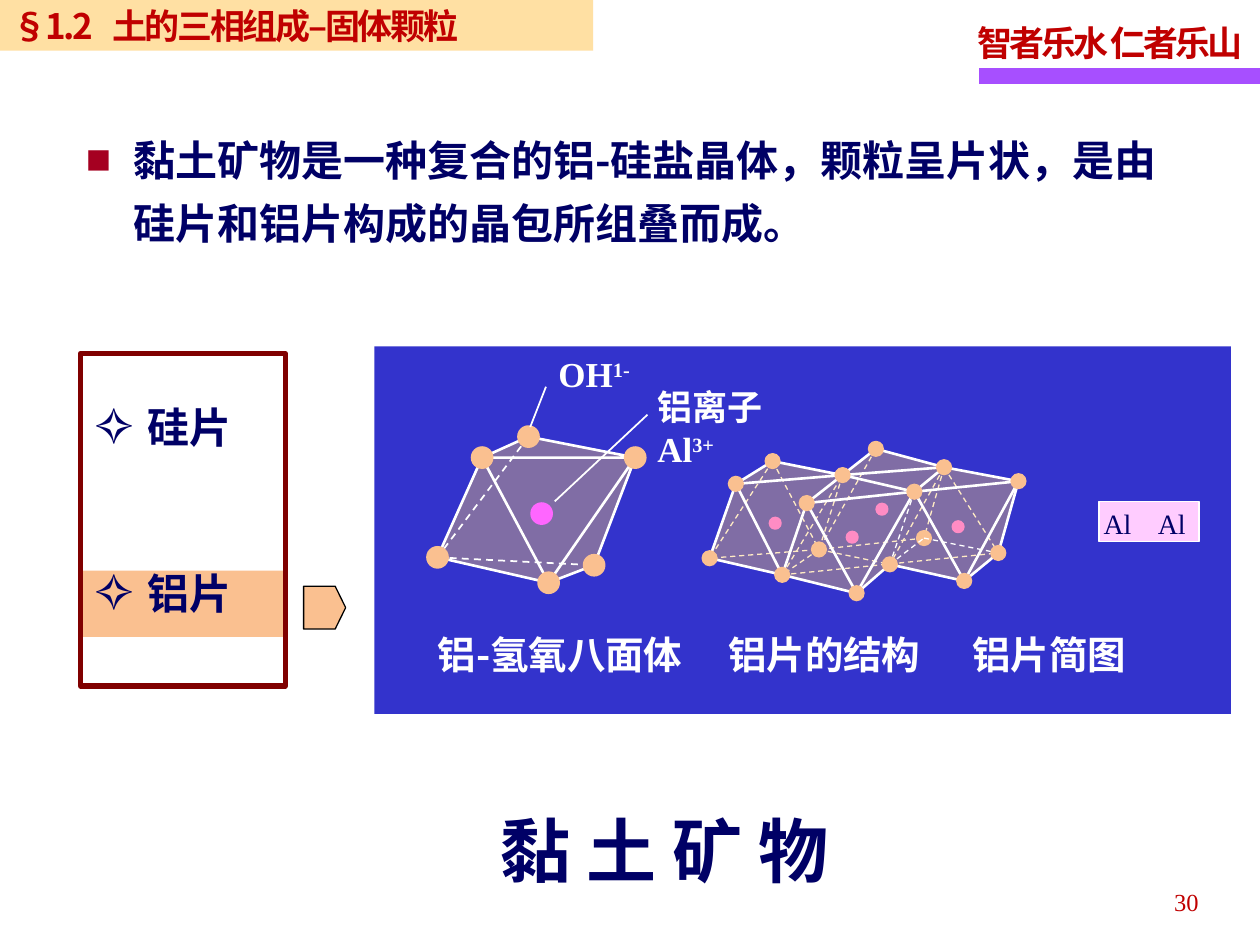
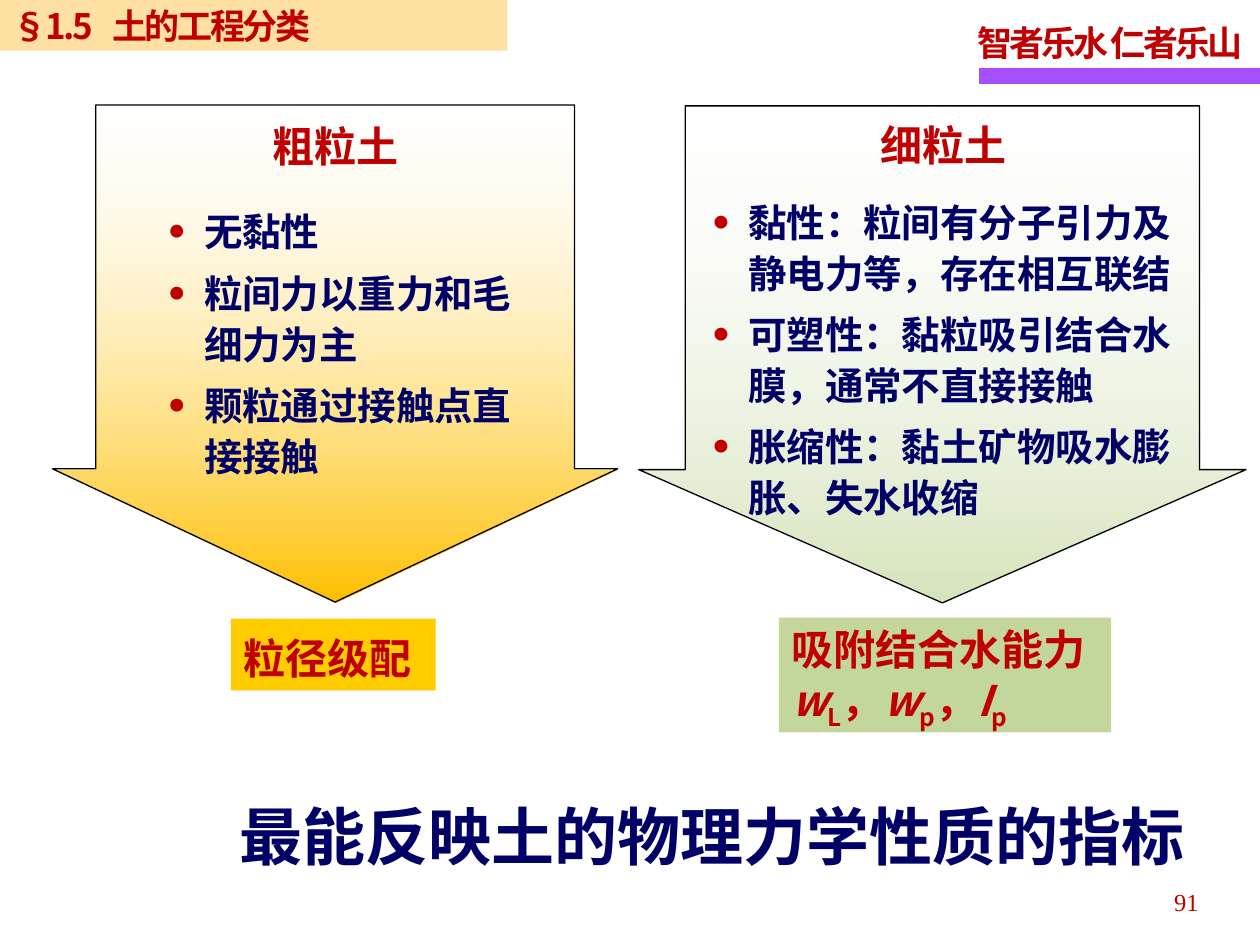
from pptx import Presentation
from pptx.dml.color import RGBColor as Rgb
from pptx.enum.dml import MSO_LINE as Dash
from pptx.enum.shapes import MSO_CONNECTOR as Link, MSO_SHAPE as Kind
from pptx.enum.text import MSO_ANCHOR as Anchor, MSO_AUTO_SIZE as Auto, PP_ALIGN as Align
from pptx.oxml.ns import qn
from pptx.util import Pt
from lxml.etree import SubElement as Sub

HUE = {
    "white": "FFFFFF", "black": "000000", "navy": "000066", "red": "C00000",
    "violet": "A74FFF", "sand": "FFCC66", "peach": "FAC090", "blue": "3333CC",
    "pink": "FF66FF", "rose": "FFCCFF", "maroon": "800000", "crimson": "A50021",
    "gold": "FFC000", "yellow": "FFCC00", "mint": "D7E4BD", "green": "C3D69B",
}
SANS, SERIF = "Noto Sans CJK SC", "Times New Roman"

MOTTO = "智者乐水 仁者乐山"
CLAY = {
    "head": "§1.2\t土的三相组成–固体颗粒", "band": 339, "page": "30",
    "close": "黏 土 矿 物",
    "lead": "黏土矿物是一种复合的铝-硅盐晶体，颗粒呈片状，是由硅片和铝片构成的晶包所组叠而成。",
    "sheets": ["硅片", "铝片"],
    "labels": [("铝-氢氧八面体", 243, 164), ("铝片的结构", 409, 130), ("铝片简图", 548.5, 110)],
}
SOIL = {
    "head": "§1.5\t土的工程分类", "band": 290, "page": "91",
    "close": "最能反映土的物理力学性质的指标",
    "kinds": [
        {"name": "粗粒土", "arrow": (30, 60, 323, 284), "tint": "gold",
         "top": (148, 61, 87, 38), "list": (88.5, 113, 212.5, 166),
         "points": ["无黏性", "粒间力以重力和毛细力为主", "颗粒通过接触点直接接触"],
         "tag": (132, 353.5, 117, 41), "fill": "yellow", "gap": 1.15,
         "index": ["粒径级配"]},
        {"name": "细粒土", "arrow": (365, 60.5, 347, 284), "tint": "mint",
         "top": (484.5, 60.5, 109, 41), "list": (399.5, 107.5, 290, 191),
         "points": ["黏性：粒间有分子引力及静电力等，存在相互联结",
                    "可塑性：黏粒吸引结合水膜，通常不直接接触",
                    "胀缩性：黏土矿物吸水膨胀、失水收缩"],
         "tag": (445, 353, 190, 65.5), "fill": "green", "gap": 1,
         "index": ["吸附结合水能力",
                   [("w", 0, True), ("L", -25, False), ("，", 0, False),
                    ("w", 0, True), ("p", -25, False), ("，", 0, False),
                    ("I", 0, True), ("p", -25, False)]]},
    ],
}

ATOMS = {
    "A": (302, 249.5), "B": (275.5, 261.5), "C": (363, 261.5),
    "D": (250, 318.5), "E": (313.5, 333), "F": (339.5, 323),
    "a": (405.5, 319), "b": (420.5, 276.5), "c": (441.5, 263.5),
    "d": (447, 328.5), "e": (461, 287.5), "f": (481.5, 271.5),
    "g": (489.5, 339), "h": (500.5, 256.5), "i": (508.5, 322.5),
    "j": (522.5, 281), "k": (539.5, 267), "l": (551, 332),
    "m": (570.5, 316), "n": (582, 275), "o": (468, 314), "p": (528, 307.5),
}
SHEET = {
    "ions": [(443, 299), (504, 291), (487, 307), (547.5, 301)],
    "under": "od km poa ca dm co df ho fo oi ki kp",
    "face": "adgilmnkhfcba",
    "solid": "adba fj nml edge hk kf il he jk njln ig bfcb ejg kn".replace("edge", "edge"),
    "over": "ji pm ip",
}
UNIT = {"face": "ABDEFCA", "solid": "BDEB BACB CEFC", "dash": "AD DF", "ion": (309.5, 293.5)}


def color(name):
    return Rgb.from_string(HUE[name])


def fade(shape, share):
    tone = next(shape._element.spPr.iter(qn("a:srgbClr")))
    Sub(tone, qn("a:alpha")).set("val", str(share * 1000))


def style(shape, fill=None, line=None, width=0.75):
    shape.shadow.inherit = False
    if fill:
        shape.fill.solid()
        shape.fill.fore_color.rgb = color(fill)
    else:
        shape.fill.background()
    if line:
        shape.line.color.rgb = color(line)
        shape.line.width = Pt(width)
    else:
        shape.line.fill.background()
    return shape


def draw(slide, box, kind=Kind.RECTANGLE, **look):
    return style(slide.shapes.add_shape(kind, *map(Pt, box)), **look)


def area(slide, box):
    return slide.shapes.add_textbox(*map(Pt, box))


def text(shape, words, size=24, hue="navy", face=SANS, bold=True, align=Align.LEFT,
         anchor=Anchor.TOP, wrap=True, gap=1, before=0, mark=None, tint="red",
         scale=100, indent=0, tab=0, track=0):
    frame = shape.text_frame
    frame.word_wrap, frame.auto_size = wrap, Auto.NONE
    frame.vertical_anchor = anchor
    for n, part in enumerate([words] if isinstance(words, str) else words):
        para = frame.add_paragraph() if n else frame.paragraphs[0]
        para.alignment, para.line_spacing = align, gap
        para.space_before = Pt(before if n else 0)
        props = para._p.get_or_add_pPr()
        if mark:
            props.set("marL", str(Pt(indent)))
            props.set("indent", str(-Pt(indent)))
            Sub(Sub(props, qn("a:buClr")), qn("a:srgbClr")).set("val", HUE[tint])
            Sub(props, qn("a:buSzPct")).set("val", str(scale * 1000))
            Sub(props, qn("a:buFont")).set("typeface", SERIF)
            Sub(props, qn("a:buChar")).set("char", mark)
        if tab:
            stop = Sub(Sub(props, qn("a:tabLst")), qn("a:tab"))
            stop.set("pos", str(Pt(tab)))
            stop.set("algn", "l")
        for bit, base, slant in [(part, 0, False)] if isinstance(part, str) else part:
            run = para.add_run()
            run.text = bit
            font = run.font
            font.size, font.bold, font.italic = Pt(size), bold, slant
            font.color.rgb, font.name = color(hue), face
            attrs = run._r.get_or_add_rPr()
            Sub(attrs, qn("a:ea")).set("typeface", SANS)
            if base:
                attrs.set("baseline", str(base * 1000))
            if track:
                attrs.set("spc", str(round(track * 100)))


def start(deck, page, close, size):
    slide = deck.slides.add_slide(deck.slide_layouts[5])
    head = slide.shapes.title
    head.left, head.top, head.width, head.height = map(Pt, (0, 0, page["band"], 29))
    head.fill.solid()
    head.fill.fore_color.rgb = color("sand")
    fade(head, 60)
    text(head, page["head"], size=20, hue="red", anchor=Anchor.MIDDLE, tab=57, track=-1.4)
    draw(slide, (559.5, 39, 160.5, 9), fill="violet")
    text(area(slide, (551.5, 5, 168, 35)), MOTTO, size=20, hue="red", face=SERIF,
         wrap=False, gap=1.15, track=-1.7)
    text(area(slide, (524, 501, 168, 29)), page["page"], size=14, hue="red", face=SERIF,
         bold=False, align=Align.RIGHT, gap=1.15)
    text(area(slide, close), page["close"], size=size)
    return slide


def line(slide, ends, width, dash=False):
    spots = [Pt(v) for spot in ends for v in spot]
    link = slide.shapes.add_connector(Link.STRAIGHT, *spots)
    link.line.color.rgb, link.line.width = color("white"), Pt(width)
    Sub(link._element.spPr, qn("a:effectLst"))
    if dash:
        link.line.dash_style = Dash.DASH


def outline(slide, names, **look):
    first, *rest = [tuple(map(Pt, ATOMS[name])) for name in names]
    closed = names[0] == names[-1]
    pen = slide.shapes.build_freeform(*first)
    pen.add_line_segments(rest[:-1] if closed else rest, close=closed)
    return style(pen.convert_to_shape(), **look)


def edges(slide, names, width, dash=False):
    for chain in names.split():
        if len(chain) == 2:
            line(slide, [ATOMS[name] for name in chain], width, dash)
            continue
        shape = outline(slide, chain, line="white", width=width)
        if dash:
            shape.line.dash_style = Dash.DASH


def ball(slide, spot, size, hue, width):
    x, y = spot
    draw(slide, (x - size / 2, y - size / 2, size, size), Kind.OVAL,
         fill=hue, line=hue, width=width)


def balls(slide, names, size, width):
    for name in names:
        ball(slide, ATOMS[name], size, "peach", width)


def crystal(slide):
    fade(outline(slide, UNIT["face"], fill="sand"), 38)
    edges(slide, UNIT["solid"], 1.5)
    ball(slide, UNIT["ion"], 12, "pink", 1)
    edges(slide, UNIT["dash"], 1, True)
    balls(slide, "ABCDEF", 12, 1)

    for spot in SHEET["ions"]:
        ball(slide, spot, 6, "pink", 1.5)
    edges(slide, SHEET["under"], 0.75, True)
    fade(outline(slide, SHEET["face"], fill="sand"), 38)
    edges(slide, SHEET["solid"].replace("edge", "edge"[:3] + "e"), 1.5)
    balls(slide, "op", 8.5, 0.75)
    edges(slide, SHEET["over"], 0.75, True)
    balls(slide, "abcdefghijklmn", 8.5, 0.75)


def clay(deck):
    slide = start(deck, CLAY, (279, 458, 265, 55), 40)
    text(area(slide, (42, 66, 648, 80)), CLAY["lead"], gap=1.25,
         mark="■", tint="crimson", indent=27)
    draw(slide, (46, 326, 118, 38), fill="peach")
    draw(slide, (46, 202, 117, 190), line="maroon", width=3)
    text(area(slide, (47, 226, 101, 175)), CLAY["sheets"], face=SERIF, before=66,
         mark="✧", tint="navy", scale=117, indent=30)
    plate = draw(slide, (173.5, 335, 24, 24.5), Kind.PENTAGON, fill="peach", line="black")
    plate.adjustments[0] = 0.25

    draw(slide, (214, 198, 489.5, 210), fill="blue")
    crystal(slide)
    line(slide, [(303, 244), (312, 221)], 1)
    line(slide, [(317, 286.5), (370, 237)], 1)
    for box, name, charge in [((312, 198, 80, 31), "OH", "1-"),
                              ((368.5, 217, 90, 60), "铝离子Al", "3+")]:
        text(area(slide, box), [[(name, 0, False), (charge, 30, False)]],
             size=20, hue="white", face=SERIF)
    for label, x, wide in CLAY["labels"]:
        text(area(slide, (x, 357, wide + 10, 34)), label, size=22, hue="white")
    draw(slide, (628, 286.5, 57, 23), fill="rose", line="white", width=1)
    for x in (623.5, 654.5):
        text(area(slide, (x, 286, 40, 27)), "Al", size=16, face=SERIF, bold=False)


def soil(deck):
    slide = start(deck, SOIL, (130, 452, 560, 51), 36)
    for kind in SOIL["kinds"]:
        arrow = draw(slide, kind["arrow"], Kind.DOWN_ARROW, line="black")
        arrow.adjustments[0], arrow.adjustments[1] = 0.847, 0.268
        arrow.fill.gradient()
        arrow.fill.gradient_angle = 270
        for stop, hue in zip(arrow.fill.gradient_stops, ("white", kind["tint"])):
            stop.color.rgb = color(hue)
        fade(arrow, 24)
        text(area(slide, kind["top"]), kind["name"], hue="red", face=SERIF,
             align=Align.CENTER, gap=1.15)
        text(area(slide, kind["list"]), kind["points"], size=22, gap=1.1, before=6,
             mark="•", scale=140, indent=21)
        text(draw(slide, kind["tag"], fill=kind["fill"]), kind["index"],
             hue="red", gap=kind["gap"])


def main():
    deck = Presentation()
    deck.slide_width, deck.slide_height = Pt(720), Pt(540)
    clay(deck)
    soil(deck)
    deck.save("out.pptx")


if __name__ == "__main__":
    main()
